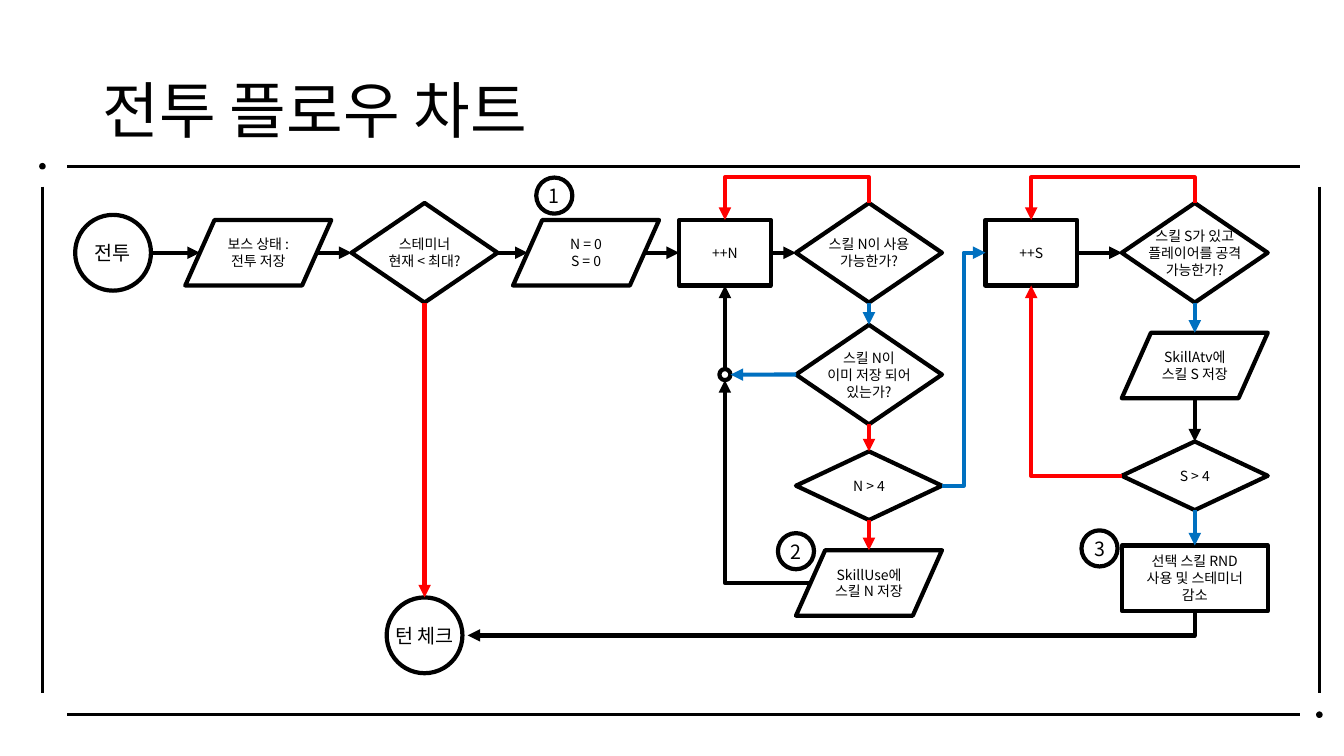
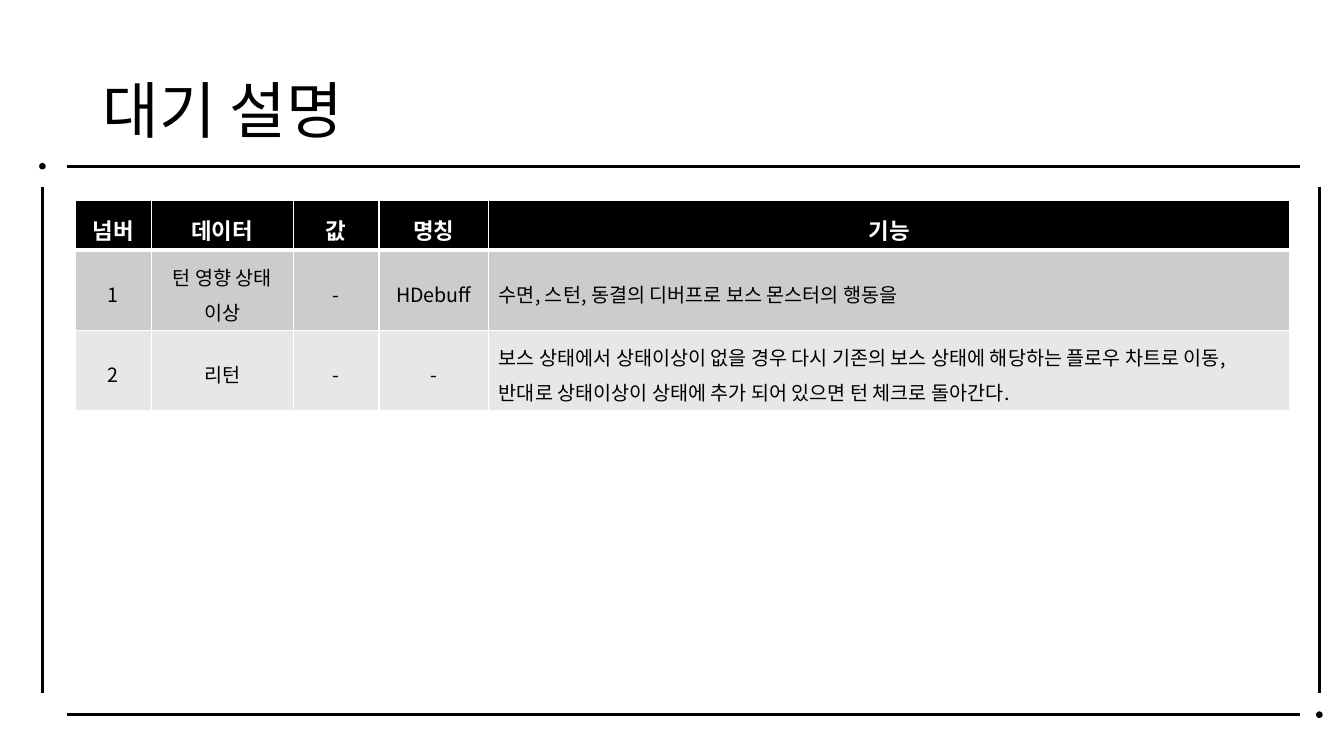
from dataclasses import dataclass

from lxml import etree
from pptx import Presentation
from pptx import util as u
from pptx.dml.color import RGBColor
from pptx.enum import shapes, text
from pptx.oxml import ns

Kind = shapes.MSO_SHAPE
Wire = shapes.MSO_CONNECTOR
CENTER, LEFT = text.PP_ALIGN.CENTER, text.PP_ALIGN.LEFT
MIDDLE = text.MSO_ANCHOR.MIDDLE


@dataclass(frozen=True)
class Theme:
    font: str = "Noto Sans CJK KR"
    ink: str = "000000"
    paper: str = "FFFFFF"
    no: str = "FF0000"
    yes: str = "0070C0"
    bands: tuple = ("CCCCCC", "E7E7E7")
    title: int = 44
    heading: int = 16
    body: int = 14
    label: int = 10
    rail: float = 2.25
    stroke: float = 3


@dataclass(frozen=True)
class Box:
    x: float
    y: float
    w: float
    h: float

    def cm(self):
        return [u.Cm(v) for v in (self.x, self.y, self.w, self.h)]

    def port(self, side, inset=0, gap=0):
        dx, dy = {"L": (-1, 0), "R": (1, 0), "T": (0, -1), "B": (0, 1)}[side]
        return (self.x + self.w / 2 + dx * (self.w / 2 - inset + gap),
                self.y + self.h / 2 + dy * (self.h / 2 + gap))


THEME = Theme()
SLIDE = Box(0, 0, 33.87, 19.05)
TITLE = Box(2.34, 1.02, 29.21, 3.68)
FRAME = Box(1.07, 4.19, 32.18, 13.82)
CHART = Box(1.9, 4.47, 30.15, 12.5)
TABLE = Box(1.9, 5.06, 30.59, 5.28)

SIZES = {
    "terminal": (Kind.OVAL, 1.91, 1.91, THEME.body),
    "data": (Kind.FLOWCHART_DATA, 3.68, 1.65, THEME.label),
    "decision": (Kind.FLOWCHART_DECISION, 3.68, 2.51, THEME.label),
    "limit": (Kind.FLOWCHART_DECISION, 3.68, 1.73, THEME.label),
    "counter": (Kind.RECTANGLE, 2.31, 1.65, THEME.label),
    "action": (Kind.RECTANGLE, 3.68, 1.65, THEME.label),
    "junction": (Kind.OVAL, 0.28, 0.28, THEME.label),
    "badge": (Kind.OVAL, 0.91, 0.91, THEME.body),
}
SLANT = SIZES["data"][1] / 10
MAIN, COL_N, COL_S, COL_TURN, COL_COUNT = 1.9, 20, 28.21, 8.8, 16.37

STEPS = {
    "battle": ("terminal", 0.95, MAIN, "전투"),
    "boss": ("data", 4.61, MAIN, "보스 상태 :\n전투 저장"),
    "stamina": ("decision", COL_TURN, MAIN, "스테미너\n현재 < 최대?"),
    "reset": ("data", 12.87, MAIN, "N = 0\nS = 0"),
    "next_n": ("counter", COL_COUNT, MAIN, "++N"),
    "usable": ("decision", COL_N, MAIN, "스킬 N이 사용\n가능한가?"),
    "stored": ("decision", COL_N, 4.97, "스킬 N이\n이미 저장 되어\n있는가?"),
    "limit_n": ("limit", COL_N, 7.77, "N > 4"),
    "store_n": ("data", COL_N, 10.22, "SkillUse에\n스킬 N 저장"),
    "next_s": ("counter", 24.09, MAIN, "++S"),
    "attack": ("decision", COL_S, MAIN, "스킬 S가 있고\n플레이어를 공격\n가능한가?"),
    "store_s": ("data", COL_S, 4.74, "SkillAtv에\n스킬 S 저장"),
    "limit_s": ("limit", COL_S, 7.52, "S > 4"),
    "use": ("action", COL_S, 10.1, "선택 스킬 RND\n사용 및 스테미너\n감소"),
    "turn": ("terminal", COL_TURN, 11.54, "턴 체크"),
    "merge": ("junction", COL_COUNT, 4.97, ""),
    "one": ("badge", 12.07, 0.46, "1"),
    "two": ("badge", 18.16, 9.42, "2"),
    "three": ("badge", 25.81, 9.35, "3"),
}

STRAIGHT = [
    ("battle", "R", "boss", "L", THEME.ink),
    ("boss", "R", "stamina", "L", THEME.ink),
    ("stamina", "R", "reset", "L", THEME.ink),
    ("reset", "R", "next_n", "L", THEME.ink),
    ("next_n", "R", "usable", "L", THEME.ink),
    ("next_s", "R", "attack", "L", THEME.ink),
    ("store_s", "B", "limit_s", "T", THEME.ink),
    ("merge", "T", "next_n", "B", THEME.ink),
    ("stamina", "B", "turn", "T", THEME.no),
    ("stored", "B", "limit_n", "T", THEME.no),
    ("limit_n", "B", "store_n", "T", THEME.no),
    ("usable", "B", "stored", "T", THEME.yes),
    ("attack", "B", "store_s", "T", THEME.yes),
    ("limit_s", "B", "use", "T", THEME.yes),
    ("stored", "L", "merge", "R", THEME.yes),
]
BENT = [
    ("usable", "T", "next_n", "T", THEME.no),
    ("attack", "T", "next_s", "T", THEME.no),
    ("limit_n", "R", "next_s", "L", THEME.yes),
    ("limit_s", "L", "next_s", "B", THEME.no),
    ("store_n", "L", "merge", "B", THEME.ink),
    ("use", "B", "turn", "R", THEME.ink),
]

COLUMNS = (1.91, 3.58, 2.16, 2.77, 20.17)
HEIGHTS = (1.24, 2.02, 2.02)
ROWS = [
    ("넘버", "데이터", "값", "명칭", "기능"),
    ("1", "턴 영향 상태\n이상", "-", "HDebuff",
     "수면, 스턴, 동결의 디버프로 보스 몬스터의 행동을"),
    ("2", "리턴", "-", "-",
     "보스 상태에서 상태이상이 없을 경우 다시 기존의 보스 상태에 해당하는 플로우 차트로 이동, "
     "반대로 상태이상이 상태에 추가 되어 있으면 턴 체크로 돌아간다."),
]


def apply(target, formats):
    for name, value in formats.items():
        setattr(target, name, value)


def child(parent, tag, **attributes):
    return etree.SubElement(parent, ns.qn(tag), attributes)


def paint(fill, color):
    fill.solid()
    fill.fore_color.rgb = RGBColor.from_string(color)


def write(frame, words, size, color=THEME.ink, bold=False, align=CENTER, spacing=1.0):
    for i, words_line in enumerate(words.split("\n")):
        line = frame.paragraphs[0] if i == 0 else frame.add_paragraph()
        apply(line, {"alignment": align, "line_spacing": spacing})
        run = line.add_run()
        run.text = words_line
        apply(run.font, {"name": THEME.font, "size": u.Pt(size), "bold": bold})
        paint(run.font.fill, color)
        child(run.font._element, "a:ea", typeface=THEME.font)


def outline(slide, kind, box, fill, weight):
    part = slide.shapes.add_shape(kind, *box.cm())
    part.shadow.inherit = False
    paint(part.fill, fill)
    paint(part.line.fill, THEME.ink)
    part.line.width = u.Pt(weight)
    return part


def wire(slide, start, end, color, weight, kind=Wire.STRAIGHT, arrow=True):
    link = slide.shapes.add_connector(kind, *[u.Cm(v) for v in (*start, *end)])
    paint(link.line.fill, color)
    link.line.width = u.Pt(weight)
    if arrow:
        child(link.line._get_or_add_ln(), "a:tailEnd", type="triangle")
    child(link._element.spPr, "a:effectLst")
    return link


def elbow(slide, start, end, color, sides, lane):
    (x1, y1), (x2, y2) = start, end
    dx, dy = x2 - x1, y2 - y1
    upright = sides[0] in "TB"
    if upright:
        cx, cy = (x1 + x2) / 2, (y1 + y2) / 2
        start, end = (cx + dy / 2, cy - dx / 2), (cx - dy / 2, cy + dx / 2)
    link = wire(slide, start, end, color, THEME.stroke, Wire.ELBOW)
    spPr = link._element.spPr
    if upright:
        spPr.find(ns.qn("a:xfrm")).set("rot", "16200000")
    geometry = spPr.find(ns.qn("a:prstGeom"))
    if (sides[1] in "TB") != upright:
        geometry.set("prst", "bentConnector2")
    elif upright:
        guides = geometry.find(ns.qn("a:avLst"))
        child(guides, "a:gd", name="adj1", fmla=f"val {round((lane - y1) / dy * 100000)}")


def add_frame(slide, box):
    left, top, right, bottom = box.x, box.y, box.x + box.w, box.y + box.h
    for y in (top, bottom):
        wire(slide, (left + 0.63, y), (right - 0.48, y), THEME.ink, THEME.rail, arrow=False)
    for x in (left, right):
        wire(slide, (x, top + 0.51), (x, bottom - 0.56), THEME.ink, THEME.rail, arrow=False)
    dot = 0.13
    for x, y in ((left, top), (right, bottom)):
        outline(slide, Kind.OVAL, Box(x - dot / 2, y - dot / 2, dot, dot), THEME.ink, 1)


def add_title(slide, box, words):
    frame = slide.shapes.add_textbox(*box.cm()).text_frame
    apply(frame, {"word_wrap": True, "vertical_anchor": MIDDLE})
    write(frame, words, THEME.title, align=LEFT, spacing=0.9)


def add_step(slide, origin, role, x, y, words):
    kind, w, h, size = SIZES[role]
    box = Box(origin.x + x - w / 2, origin.y + y - h / 2, w, h)
    frame = outline(slide, kind, box, THEME.paper, THEME.stroke).text_frame
    apply(frame, {"word_wrap": False, "vertical_anchor": MIDDLE, "margin_left": 0,
                  "margin_right": 0, "margin_top": 0, "margin_bottom": 0})
    if words:
        write(frame, words, size)
    return box


def add_flow(slide, box):
    places = {name: add_step(slide, box, *step) for name, step in STEPS.items()}

    def port(name, side, gap=0):
        slanted = STEPS[name][0] == "data" and side in "LR"
        return places[name].port(side, SLANT if slanted else 0, gap)

    for source, out, target, into, color in STRAIGHT:
        wire(slide, port(source, out), port(target, into), color, THEME.stroke)
    for source, out, target, into, color in BENT:
        gap = 0.13 if target == "turn" else 0
        elbow(slide, port(source, out), port(target, into, gap), color, out + into, box.y)


def add_border(cell, heading):
    for edge in ("L", "R", "T", "B"):
        weight = 3 if heading and edge == "B" else 1
        line = child(cell._tc.get_or_add_tcPr(), f"a:ln{edge}", w=str(u.Pt(weight)))
        child(child(line, "a:solidFill"), "a:srgbClr", val=THEME.paper)


def add_data_table(slide, box):
    table = slide.shapes.add_table(len(ROWS), len(COLUMNS), *box.cm()).table
    for column, width in zip(table.columns, COLUMNS):
        column.width = u.Cm(width)
    for r, (row, height) in enumerate(zip(ROWS, HEIGHTS)):
        table.rows[r].height = u.Cm(height)
        heading = r == 0
        for c, words in enumerate(row):
            cell = table.cell(r, c)
            cell.vertical_anchor = MIDDLE
            add_border(cell, heading)
            paint(cell.fill, THEME.ink if heading else THEME.bands[r - 1])
            explained = not heading and c == len(row) - 1
            write(cell.text_frame, words, THEME.heading if heading else THEME.body,
                  THEME.paper if heading else THEME.ink, heading,
                  LEFT if explained else CENTER, 1.25)


def main():
    deck = Presentation()
    apply(deck, {"slide_width": u.Cm(SLIDE.w), "slide_height": u.Cm(SLIDE.h)})
    for title, box, add_content in (("전투 플로우 차트", CHART, add_flow),
                                    ("대기 설명", TABLE, add_data_table)):
        slide = deck.slides.add_slide(deck.slide_layouts[6])
        add_frame(slide, FRAME)
        add_title(slide, TITLE, title)
        add_content(slide, box)
    deck.save("out.pptx")


if __name__ == "__main__":
    main()
